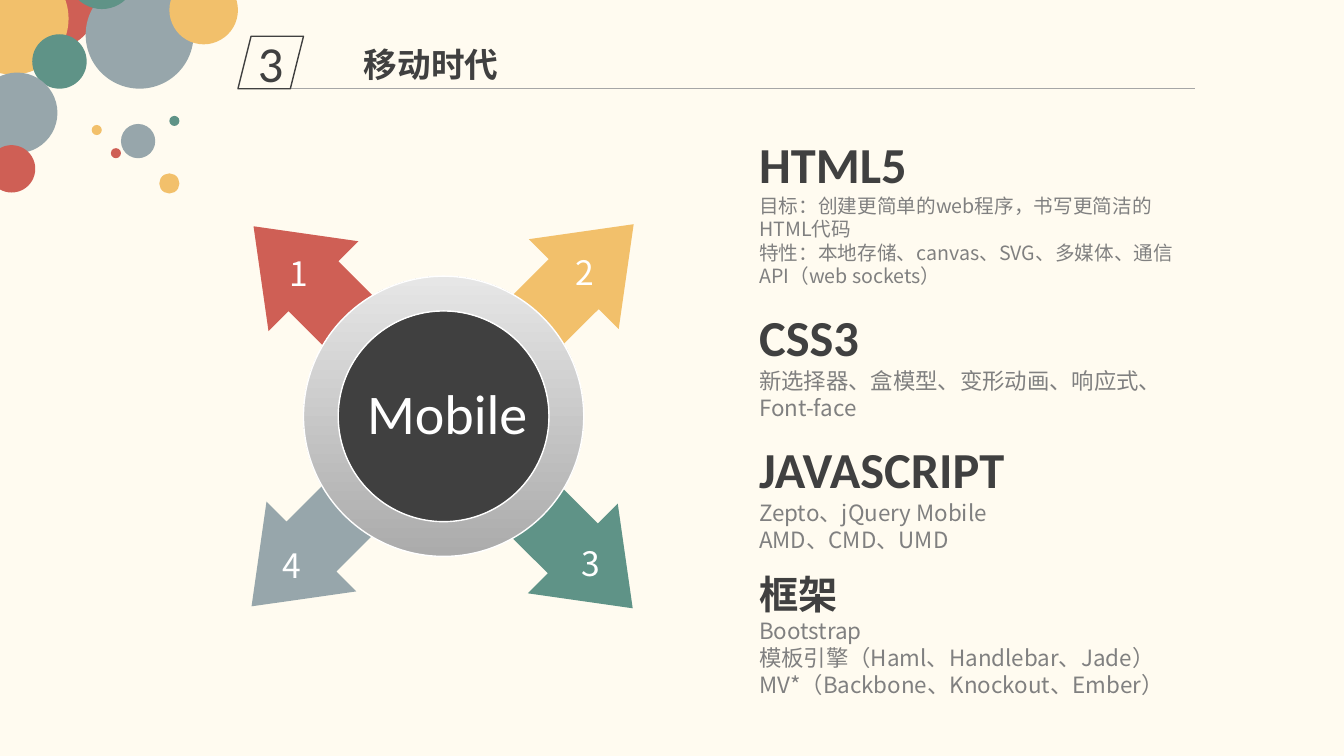
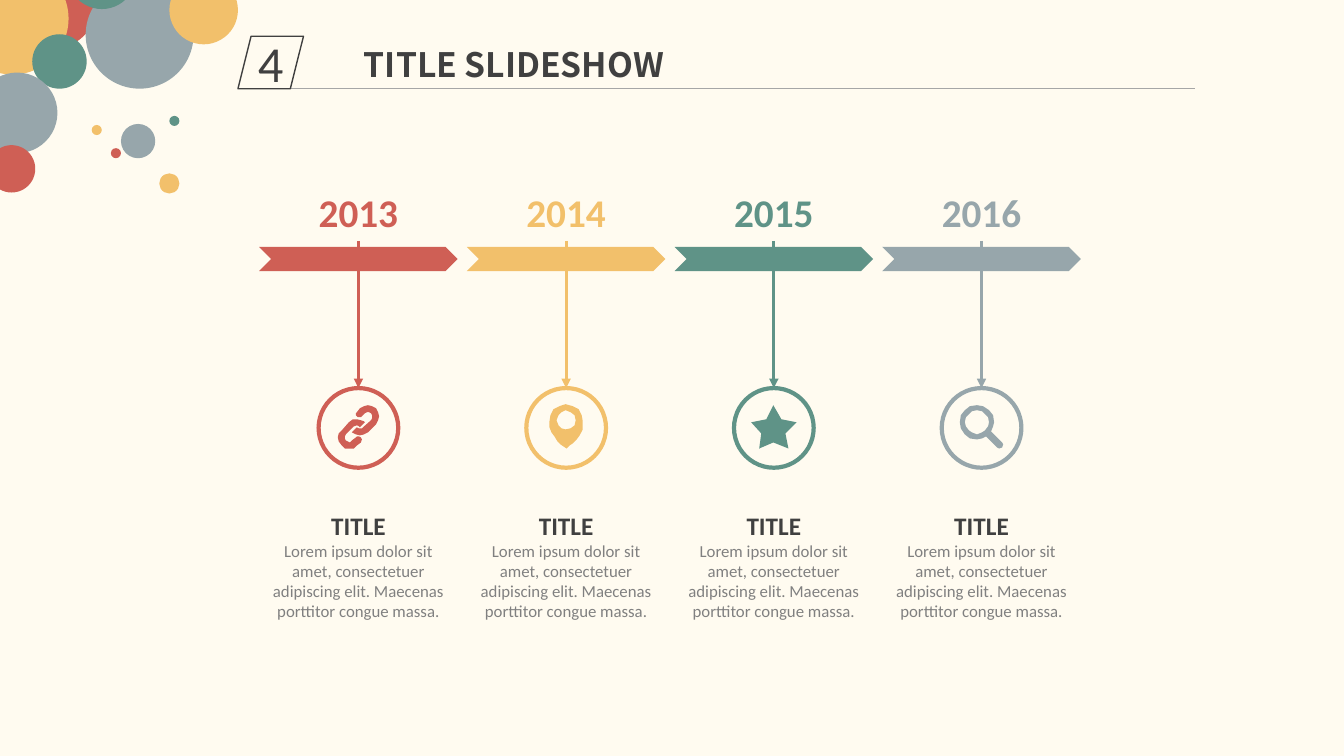
from dataclasses import dataclass

from lxml import etree
from pptx import Presentation
from pptx import util as u
from pptx.dml.color import RGBColor
from pptx.enum import shapes, text
from pptx.oxml.ns import qn

Inches, Pt = u.Inches, u.Pt
SHAPE, ALIGN, ANCHOR = shapes.MSO_SHAPE, text.PP_ALIGN, text.MSO_ANCHOR
STRAIGHT = shapes.MSO_CONNECTOR.STRAIGHT


@dataclass(frozen=True)
class Theme:
    paper: str = "FFFBF0"
    red: str = "CF5F55"
    yellow: str = "F2C06B"
    green: str = "5F9387"
    gray: str = "97A6AB"
    dark: str = "404040"
    body: str = "808080"
    rule: str = "A6A6A6"
    white: str = "FFFFFF"
    ring_dark: str = "ABABAB"
    ring_light: str = "E6E6E6"
    latin: str = "Calibri"
    chinese: str = "Noto Sans CJK SC"
    hub: int = 40
    heading: int = 36
    year: int = 28
    title: int = 24
    caption: int = 18
    text: int = 16
    small: int = 14
    tiny: int = 12


theme = Theme()
accents = [theme.red, theme.yellow, theme.green, theme.gray]


def paint(shape, fill=None, line=None, width=1.0):
    """Set fill and outline, and switch the shadow off."""
    if line:
        shape.line.color.rgb = RGBColor.from_string(line)
        shape.line.width = Pt(width)
    else:
        shape.line.fill.background()
    if not hasattr(shape, "fill"):  # connectors
        etree.SubElement(shape._element.spPr, qn("a:effectLst"))
        return
    shape.shadow.inherit = False
    if fill:
        shape.fill.solid()
        shape.fill.fore_color.rgb = RGBColor.from_string(fill)
    else:
        shape.fill.background()


def write(shape, lines, align=ALIGN.LEFT, anchor=ANCHOR.TOP, wrap=True):
    """Fill a shape with lines of (text, size, colour, bold, font)."""
    frame = shape.text_frame
    frame.text = "\n".join(line[0] for line in lines)
    frame.word_wrap = wrap
    frame.auto_size = text.MSO_AUTO_SIZE.NONE
    frame.vertical_anchor = anchor
    for paragraph, (_, size, color, bold, font) in zip(frame.paragraphs, lines):
        if shape.is_placeholder:
            properties = paragraph._p.get_or_add_pPr()
            properties.set("marL", "0")
            properties.set("indent", "0")
            etree.SubElement(properties, qn("a:buNone"))
        paragraph.alignment = align
        paragraph.space_before = Pt(0)
        if font == theme.chinese:
            paragraph.line_spacing = Pt(round(1.2 * size, 1))
        for run in paragraph.runs:
            run.font.size = Pt(size)
            run.font.bold = bold
            run.font.color.rgb = RGBColor.from_string(color)
            run.font.name = font
            east_asian = etree.SubElement(run._r.get_or_add_rPr(), qn("a:ea"))
            east_asian.set("typeface", font)


presentation = Presentation()
presentation.slide_width = Inches(13.33)
presentation.slide_height = Inches(7.5)
background = presentation.slide_master.background.fill
background.solid()
background.fore_color.rgb = RGBColor.from_string(theme.paper)

# Shared parts: corner bubbles, rule, number badge and title
bubbles = [
    (0.04, -0.44, 0.93, theme.red), (-0.43, -0.37, 1.11, theme.yellow),
    (0.32, 0.34, 0.54, theme.green), (-0.23, 0.72, 0.8, theme.gray),
    (0.85, -0.19, 1.07, theme.gray), (0.67, -0.59, 0.68, theme.green),
    (-0.12, 1.44, 0.47, theme.red), (1.2, 1.23, 0.34, theme.gray),
    (1.1, 1.47, 0.1, theme.red), (0.91, 1.24, 0.1, theme.yellow),
    (1.68, 1.15, 0.1, theme.green), (1.58, 1.72, 0.2, theme.yellow),
    (1.68, -0.24, 0.68, theme.yellow),
]
for number, title in [("3", "移动时代"), ("4", "TITLE SLIDESHOW")]:
    # The Comparison layout has a title and four body placeholders
    slide = presentation.slides.add_slide(presentation.slide_layouts[4])
    group = slide.shapes.add_group_shape()
    for left, top, size, color in bubbles:
        bubble = group.shapes.add_shape(
            SHAPE.OVAL, Inches(left), Inches(top), Inches(size), Inches(size))
        paint(bubble, color)
    rule = slide.shapes.add_connector(
        STRAIGHT, Inches(2.84), Inches(0.88), Inches(11.85), Inches(0.88))
    paint(rule, line=theme.rule, width=0.5)
    badge = slide.shapes.add_shape(
        SHAPE.PARALLELOGRAM, Inches(2.36), Inches(0.36), Inches(0.65), Inches(0.52))
    paint(badge, line=theme.dark)
    frame = badge.text_frame
    frame.margin_left = frame.margin_right = frame.margin_top = frame.margin_bottom = 0
    write(badge, [(number, theme.heading, theme.dark, False, theme.latin)],
          ALIGN.CENTER, ANCHOR.MIDDLE, wrap=False)
    heading = slide.shapes.title
    heading.left, heading.top = Inches(3.51), Inches(0.39)
    heading.width, heading.height = Inches(5.13), Inches(0.5)
    write(heading, [(title, theme.title, theme.dark, True, theme.chinese)])

mobile_slide, timeline_slide = presentation.slides

# Mobile slide: four arrows around a hub
arrows = [
    (2.62, 1.94, 315, theme.red), (4.92, 1.92, 45, theme.yellow),
    (4.91, 4.26, 135, theme.green), (2.6, 4.24, 225, theme.gray),
]
for left, top, rotation, color in arrows:
    arrow = mobile_slide.shapes.add_shape(
        SHAPE.UP_ARROW, Inches(left), Inches(top), Inches(1.26), Inches(2.08))
    arrow.adjustments[0], arrow.adjustments[1] = 0.556, 0.667
    arrow.rotation = rotation
    paint(arrow, color)

hub, ring = [
    mobile_slide.shapes.add_shape(
        kind, Inches(3.01), Inches(2.74), Inches(2.78), Inches(2.78))
    for kind in (SHAPE.OVAL, SHAPE.DONUT)]
paint(hub, theme.dark)
paint(ring, line=theme.white)
ring.adjustments[0] = 0.124
ring.fill.gradient()
ring.fill.gradient_angle = 90
for stop, color in zip(ring.fill.gradient_stops, (theme.ring_dark, theme.ring_light)):
    stop.color.rgb = RGBColor.from_string(color)

labels = [
    ("1", 2.76, 2.46, 0.4, 0.5, theme.title, theme.chinese),
    ("2", 5.6, 2.45, 0.4, 0.5, theme.title, theme.chinese),
    ("3", 5.66, 5.34, 0.4, 0.5, theme.title, theme.chinese),
    ("4", 2.69, 5.36, 0.4, 0.5, theme.title, theme.chinese),
    ("Mobile", 3.53, 3.71, 1.81, 0.77, theme.hub, theme.latin),
]
for label, left, top, width, height, size, font in labels:
    box = mobile_slide.shapes.add_textbox(
        Inches(left), Inches(top), Inches(width), Inches(height))
    write(box, [(label, size, theme.white, False, font)], ALIGN.CENTER, wrap=False)

# Mobile slide: topics on the right
topics = [
    (1.27, 1.65, "HTML5", theme.heading, theme.latin, theme.small,
     ["目标：创建更简单的web程序，书写更简洁的HTML代码",
      "特性：本地存储、canvas、SVG、多媒体、通信API（web sockets）"]),
    (2.99, 1.25, "CSS3", theme.heading, theme.latin, theme.text,
     ["新选择器、盒模型、变形动画、响应式、Font-face"]),
    (4.3, 1.25, "JAVASCRIPT", theme.heading, theme.latin, theme.text,
     ["Zepto、jQuery Mobile", "AMD、CMD、UMD"]),
    (5.61, 1.38, "框架", theme.year, theme.chinese, theme.text,
     ["Bootstrap", "模板引擎（Haml、Handlebar、Jade）",
      "MV*（Backbone、Knockout、Ember）"]),
]
for index, (top, height, name, name_size, font, size, details) in enumerate(topics, 1):
    body = mobile_slide.placeholders[index]
    body.left, body.top = Inches(7.43), Inches(top)
    body.width, body.height = Inches(4.37), Inches(height)
    write(body, [(name, name_size, theme.dark, True, font)] + [
        (detail, size, theme.body, False, theme.chinese) for detail in details])

# Timeline slide: icon outlines in hundredths of an inch
link_icon = [
    [(354, 416), (358, 417), (361, 418), (362, 419), (357, 424), (356, 423),
     (354, 422), (351, 423), (343, 431), (342, 433), (342, 435), (343, 437),
     (345, 438), (347, 439), (349, 437), (353, 434), (354, 433), (356, 433),
     (358, 434), (359, 436), (358, 439), (354, 442), (351, 445), (347, 445),
     (342, 445), (339, 442), (336, 438), (335, 434), (336, 430), (339, 427),
     (346, 419), (350, 416)],
    [(365, 402), (369, 403), (373, 405), (375, 409), (376, 413), (375, 417),
     (373, 421), (365, 429), (361, 431), (357, 432), (353, 431), (349, 429),
     (354, 424), (356, 425), (359, 425), (360, 424), (368, 417), (369, 415),
     (369, 412), (368, 410), (366, 409), (364, 409), (362, 410), (359, 413),
     (358, 414), (355, 414), (353, 412), (353, 410), (354, 409), (357, 405),
     (361, 403)],
]
pin_icon = [
    [(561, 407), (557, 409), (554, 412), (552, 417), (554, 422), (557, 425),
     (561, 426), (566, 425), (570, 422), (571, 417), (570, 412), (566, 409)],
    [(561, 401), (568, 403), (574, 406), (577, 412), (578, 418), (578, 426),
     (575, 432), (572, 436), (568, 440), (565, 442), (562, 445), (559, 443),
     (556, 441), (553, 438), (550, 433), (547, 429), (545, 424), (545, 418),
     (546, 412), (549, 406), (555, 403)],
]
magnifier_icon = [
    [(969, 407), (964, 408), (961, 411), (958, 414), (957, 419), (958, 423),
     (961, 427), (964, 429), (969, 431), (974, 429), (977, 427), (980, 423),
     (981, 419), (980, 414), (977, 411), (974, 408)],
    [(969, 402), (975, 403), (981, 407), (985, 412), (986, 419), (985, 423),
     (983, 428), (994, 439), (995, 441), (994, 444), (991, 445), (989, 444),
     (978, 433), (974, 435), (969, 436), (962, 435), (957, 431), (953, 425),
     (952, 419), (953, 412), (957, 407), (962, 403)],
]
star_icon = [
    [(767, 402), (775, 416), (790, 419), (779, 430), (782, 445), (767, 439),
     (753, 445), (755, 430), (745, 419), (760, 416)],
]
icons = [link_icon, pin_icon, star_icon, magnifier_icon]

# Timeline slide: one column a year
column_width, column_step = 1.97, 2.06
lorem = ("Lorem ipsum dolor sit amet, consectetuer adipiscing elit. "
         "Maecenas porttitor congue massa.")
for index, (color, icon) in enumerate(zip(accents, icons)):
    left = 2.57 + index * column_step
    center = left + column_width / 2

    chevron = timeline_slide.shapes.add_shape(
        SHAPE.CHEVRON, Inches(left), Inches(2.45), Inches(column_width), Inches(0.24))
    paint(chevron, color)

    year = timeline_slide.shapes.add_textbox(
        Inches(center - 0.5), Inches(1.82), Inches(1), Inches(0.57))
    write(year, [(str(2013 + index), theme.year, color, True, theme.latin)],
          ALIGN.CENTER, wrap=False)

    circle = timeline_slide.shapes.add_shape(
        SHAPE.OVAL, Inches(center - 0.395), Inches(3.85), Inches(0.79), Inches(0.79))
    paint(circle, line=color, width=3)

    pointer = timeline_slide.shapes.add_connector(
        STRAIGHT, Inches(center), Inches(2.39), Inches(center), Inches(3.85))
    paint(pointer, line=color, width=2.25)
    arrowhead = etree.SubElement(pointer.line._get_or_add_ln(), qn("a:tailEnd"))
    arrowhead.set("type", "triangle")

    builder = timeline_slide.shapes.build_freeform(*icon[0][0], scale=Inches(0.01))
    for contour in icon:
        if contour is not icon[0]:
            builder.move_to(*contour[0])
        builder.add_line_segments(contour[1:], close=True)
    paint(builder.convert_to_shape(), color)

    caption = timeline_slide.placeholders[index + 1]
    caption.left, caption.top = Inches(left), Inches(5.01)
    caption.width, caption.height = Inches(column_width), Inches(1.21)
    write(caption, [("TITLE", theme.caption, theme.dark, True, theme.latin),
                    (lorem, theme.tiny, theme.body, False, theme.latin)], ALIGN.CENTER)

presentation.save("out.pptx")
